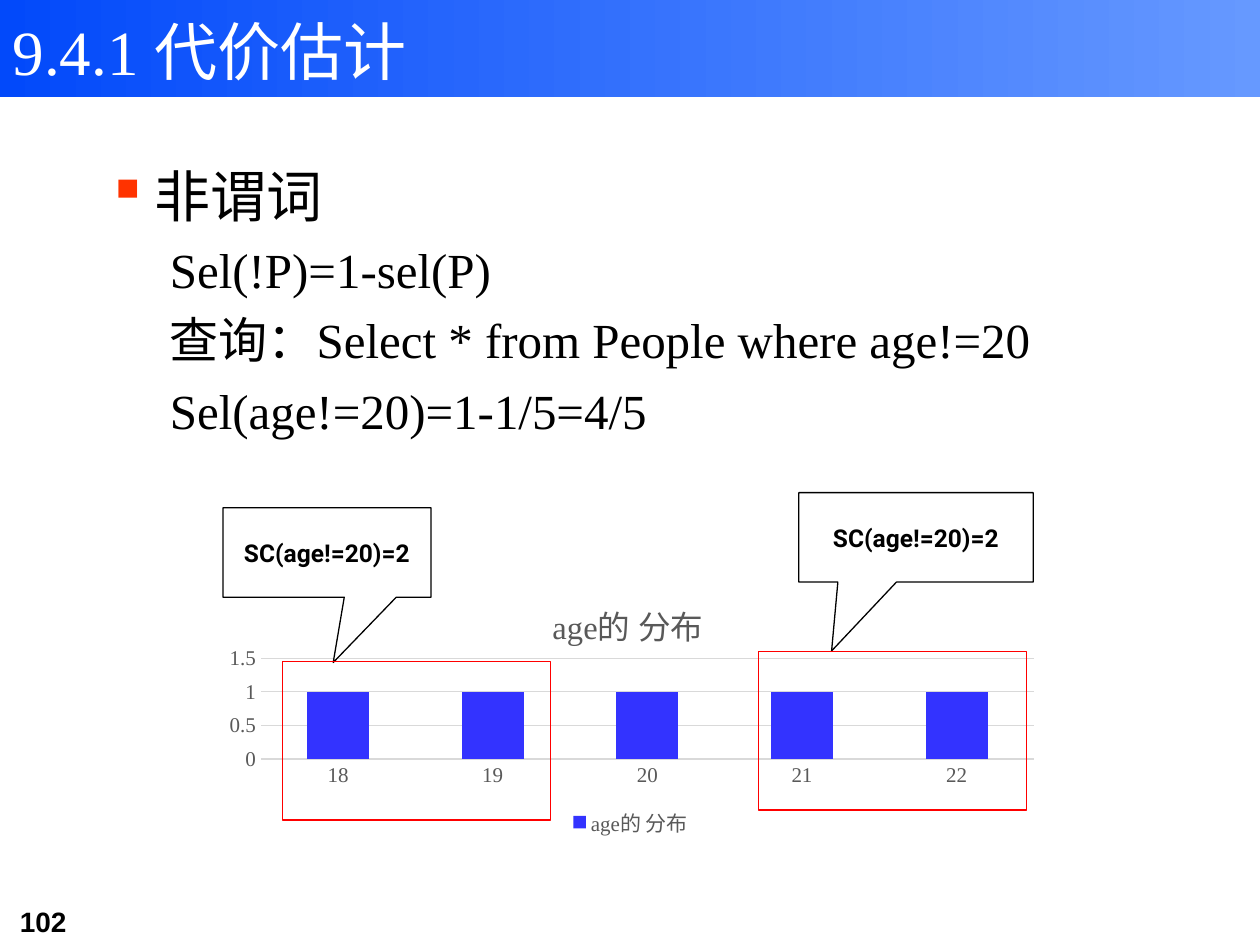
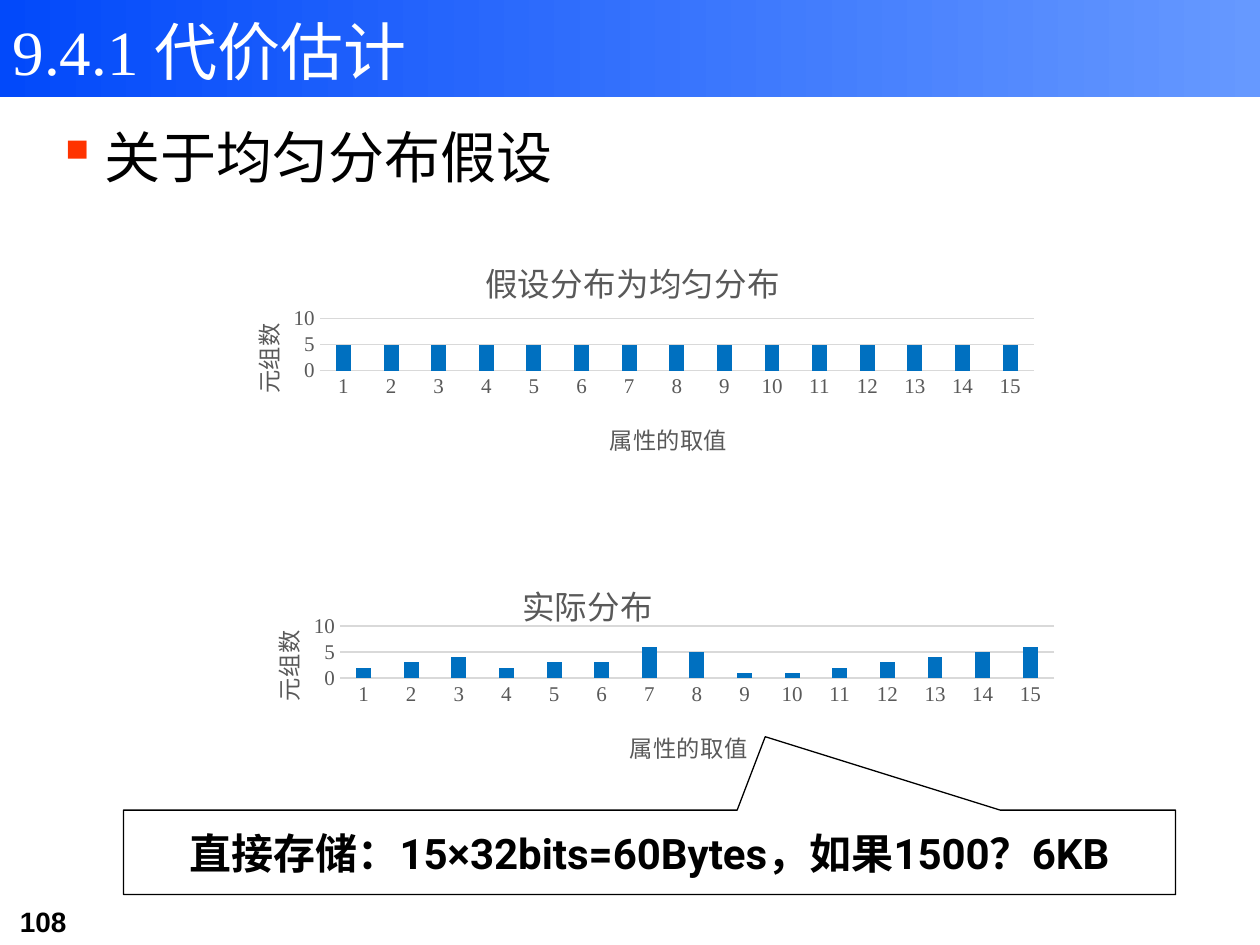
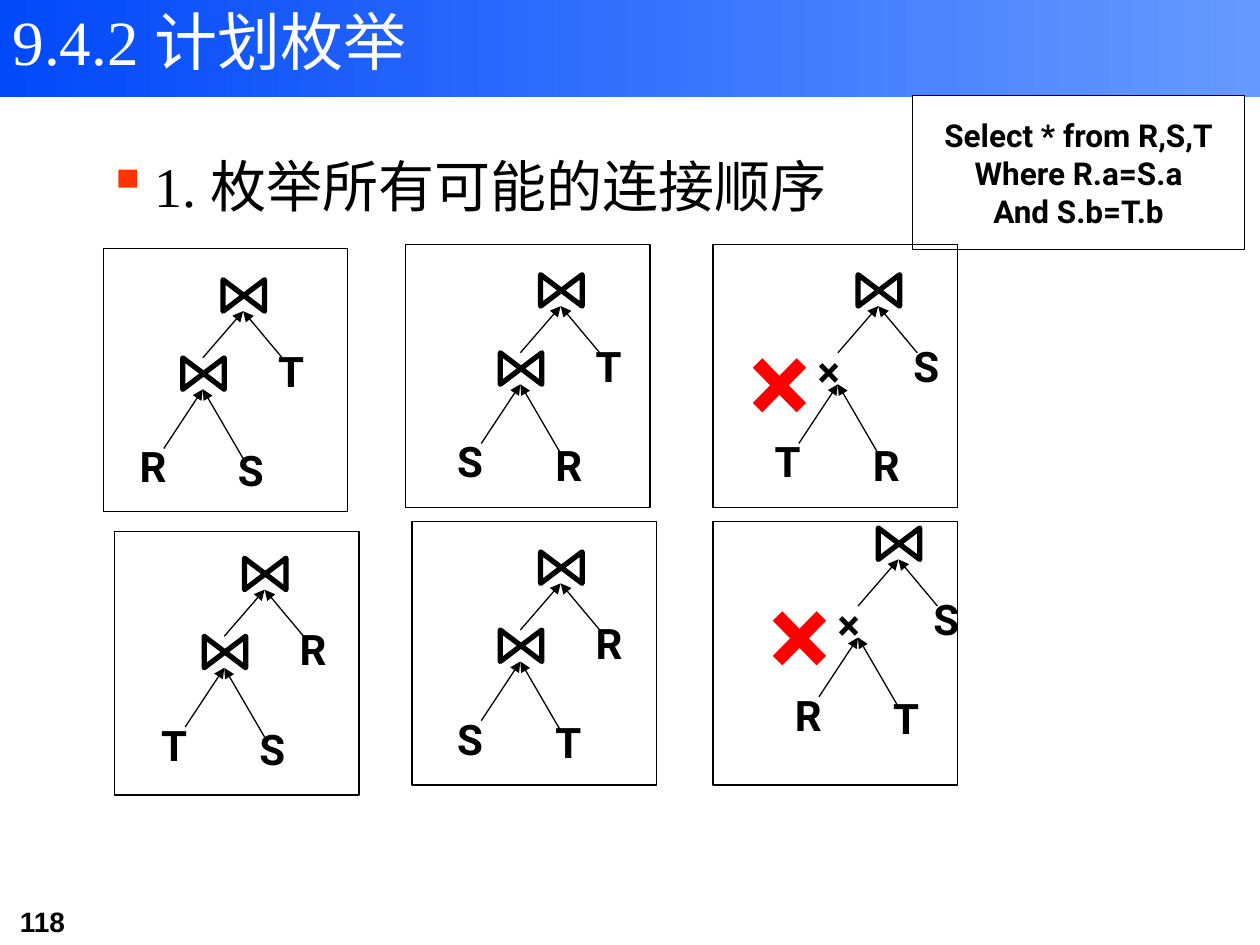
from lxml.etree import SubElement
from pptx import Presentation
from pptx.chart.data import CategoryChartData
from pptx.dml.color import RGBColor
from pptx.enum.chart import XL_CHART_TYPE, XL_LEGEND_POSITION, XL_TICK_MARK
from pptx.enum.shapes import MSO_CONNECTOR, MSO_SHAPE
from pptx.enum.text import MSO_ANCHOR, MSO_AUTO_SIZE, PP_ALIGN
from pptx.oxml.ns import qn
from pptx.util import Inches, Pt

COLORS = {
    "band_start": "0249FA",
    "band_end": "6699FF",
    "text": "000000",
    "white": "FFFFFF",
    "bullet": "FF3300",
    "red": "FF0000",
    "axis_text": "595959",
    "grid": "D9D9D9",
    "age_bar": "3333FF",
    "tuple_bar": "0070C0",
}
SERIF, SANS, NUMBER_FONT = "Times New Roman", "Roboto", "Arial"
TITLE_ONLY = 5


def rgb(name):
    return RGBColor.from_string(COLORS[name])


def inches(*lengths):
    return [Inches(length) for length in lengths]


def style_font(font, size, face, color="text", bold=False):
    font.size = Pt(size)
    font.name = face
    font.bold = bold
    font.color.rgb = rgb(color)


def add_run(paragraph, text, *style, **options):
    run = paragraph.add_run()
    run.text = text
    style_font(run.font, *style, **options)


def add_label(slide, box, text, size, face=SANS, color="text"):
    frame = slide.shapes.add_textbox(*inches(*box)).text_frame
    frame.word_wrap = True
    add_run(frame.paragraphs[0], text, size, face, color, bold=True)


def add_outlined(slide, kind, box, line="text", fill=None, weight=0.75):
    outlined = slide.shapes.add_shape(kind, *inches(*box))
    outlined.shadow.inherit = False
    if fill:
        outlined.fill.solid()
        outlined.fill.fore_color.rgb = rgb(fill)
    else:
        outlined.fill.background()
    outlined.line.color.rgb = rgb(line)
    outlined.line.width = Pt(weight)
    return outlined


def add_note(slide, kind, box, lines, size, pointer=()):
    note = add_outlined(slide, kind, box, fill="white")
    for index, offset in enumerate(pointer):
        note.adjustments[index] = offset
    frame = note.text_frame
    frame.word_wrap = False
    frame.vertical_anchor = MSO_ANCHOR.MIDDLE
    for index, line in enumerate(lines):
        paragraph = frame.add_paragraph() if index else frame.paragraphs[0]
        paragraph.alignment = PP_ALIGN.CENTER
        add_run(paragraph, line, size, SANS, bold=True)


def start_slide(deck, heading, number, heading_top=0.05):
    slide = deck.slides.add_slide(deck.slide_layouts[TITLE_ONLY])
    title = slide.shapes.title
    title.left, title.top, title.width, title.height = inches(0, heading_top, 7.68, 0.71)
    frame = title.text_frame
    frame.auto_size = MSO_AUTO_SIZE.NONE
    frame.word_wrap = True
    frame.vertical_anchor = MSO_ANCHOR.TOP
    frame.paragraphs[0].alignment = PP_ALIGN.LEFT
    add_run(frame.paragraphs[0], heading, 36, SERIF, "white")

    band = slide.shapes.add_shape(MSO_SHAPE.RECTANGLE, *inches(0, 0, 10, 0.77))
    band.shadow.inherit = False
    band.line.fill.background()
    band.fill.gradient()
    band.fill.gradient_angle = 0
    for stop, color in zip(band.fill.gradient_stops, ("band_start", "band_end")):
        stop.color.rgb = rgb(color)
    title.element.addprevious(band.element)
    add_label(slide, (0.06, 7.13, 1.22, 0.37), number, 16, NUMBER_FONT)
    return slide


def add_body(slide, box, topic, details=()):
    frame = slide.shapes.add_textbox(*inches(*box)).text_frame
    frame.word_wrap = True
    bullet = frame.paragraphs[0]
    properties = bullet._p.get_or_add_pPr()
    properties.set("marL", str(Inches(0.38)))
    properties.set("indent", str(Inches(-0.38)))
    bullet_color = SubElement(properties, qn("a:buClr"))
    SubElement(bullet_color, qn("a:srgbClr"), val=COLORS["bullet"])
    SubElement(properties, qn("a:buChar"), char="▪")
    add_run(bullet, topic, 32, SERIF)
    for detail in details:
        paragraph = frame.add_paragraph()
        paragraph.level = 1
        paragraph.space_before = Pt(6.5)
        properties = paragraph._p.get_or_add_pPr()
        properties.set("marL", str(Inches(0.5)))
        properties.set("indent", "0")
        add_run(paragraph, detail, 28, SERIF)


def set_layout(parent, inner=False, **fractions):
    existing = parent.find(qn("c:layout"))
    if existing is not None:
        parent.remove(existing)
    layout = parent.makeelement(qn("c:layout"))
    text = parent.find(qn("c:tx"))
    if text is None:
        parent.insert(0, layout)
    else:
        text.addnext(layout)
    manual = SubElement(layout, qn("c:manualLayout"))
    if inner:
        SubElement(manual, qn("c:layoutTarget"), val="inner")
    for side in ("x", "y"):
        SubElement(manual, qn(f"c:{side}Mode"), val="edge")
    for side, fraction in fractions.items():
        SubElement(manual, qn(f"c:{side}"), val=str(fraction))


def title_part(owner, text, size, x, y):
    add_run(owner.text_frame.paragraphs[0], text, size, SERIF, "axis_text")
    set_layout(owner._element, x=x, y=y)


def add_columns(slide, box, kind, heading, heading_at, series_name, categories, values,
                color, gap, overlap, top, step, plot_area):
    chart_data = CategoryChartData()
    chart_data.categories = categories
    chart_data.add_series(series_name, values)
    chart = slide.shapes.add_chart(kind, *inches(*box), chart_data).chart
    style_font(chart.font, 12, SERIF, "axis_text")
    chart.has_legend = False
    chart.has_title = True
    title_part(chart.chart_title, heading, 18.6, *heading_at)

    plot = chart.plots[0]
    plot.vary_by_categories = False
    plot.gap_width = gap
    plot.overlap = overlap
    plot.series[0].format.fill.solid()
    plot.series[0].format.fill.fore_color.rgb = rgb(color)
    x, y, w, h = plot_area
    set_layout(plot._element.getparent(), inner=True, x=x, y=y, w=w, h=h)

    for axis in (chart.category_axis, chart.value_axis):
        axis.major_tick_mark = axis.minor_tick_mark = XL_TICK_MARK.NONE
        style_font(axis.tick_labels.font, 12, SERIF, "axis_text")
    value_axis = chart.value_axis
    value_axis.minimum_scale = 0
    value_axis.maximum_scale = top
    value_axis.major_unit = step
    value_axis.format.line.fill.background()
    for line in (chart.category_axis.format.line, value_axis.major_gridlines.format.line):
        line.color.rgb = rgb("grid")
        line.width = Pt(0.75)
    return chart


def add_age_chart(slide, box):
    name = "age的 分布"
    chart = add_columns(
        slide, box, XL_CHART_TYPE.COLUMN_STACKED, name, (0.4, 0.1), name,
        [str(age) for age in range(18, 23)], [1] * 5, "age_bar", 150, 100,
        1.5, 0.5, (0.06, 0.34, 0.92, 0.36))
    chart.has_legend = True
    chart.legend.position = XL_LEGEND_POSITION.BOTTOM
    chart.legend.include_in_layout = False
    style_font(chart.legend.font, 12, SERIF, "axis_text")


def add_tuple_chart(slide, box, heading, heading_at, counts):
    chart = add_columns(
        slide, box, XL_CHART_TYPE.COLUMN_CLUSTERED, heading, heading_at, "元组数",
        [str(value) for value in range(1, 16)], counts, "tuple_bar", 219, -27,
        10, 5, (0.13, 0.38, 0.85, 0.21))
    title_part(chart.category_axis.axis_title, "属性的取值", 13.3, 0.47, 0.77)
    title_part(chart.value_axis.axis_title, "元组数", 13.3, 0.04, 0.38)


def add_arrow(slide, start, end):
    arrow = slide.shapes.add_connector(MSO_CONNECTOR.STRAIGHT, *inches(*start, *end))
    arrow.line.color.rgb = rgb("text")
    arrow.line.width = Pt(0.75)
    properties = arrow.element.spPr
    SubElement(properties.find(qn("a:ln")), qn("a:tailEnd"), type="triangle")
    SubElement(properties, qn("a:effectLst"))


def add_join(slide, x, y):
    join = add_outlined(slide, MSO_SHAPE.FLOWCHART_COLLATE,
                        (x - 0.12, y - 0.29, 0.25, 0.33), weight=3)
    join.rotation = 90


def add_join_tree(slide, box, root_offset, leaves, rejected):
    left, top, width, height = box
    x, y = left + root_offset[0], top + root_offset[1]
    inner_x, inner_y = x - 0.32, y + 0.62
    add_join(slide, x, y)
    if rejected:
        add_label(slide, (x - 0.58, y + 0.26, 0.45, 0.5), "×", 24)
        add_label(slide, (x - 1.12, y - 0.03, 0.97, 1.21), "×", 66, color="red")
    else:
        add_join(slide, inner_x, inner_y)
    for tip, dx, dy in (((inner_x, inner_y), -0.31, 0.47), ((inner_x, inner_y), 0.32, 0.55),
                        ((x, y), -0.32, 0.37), ((x, y), 0.31, 0.37)):
        add_arrow(slide, (tip[0] + dx, tip[1] + dy), tip)
    for leaf, (dx, dy) in zip(leaves, ((-0.92, 0.98), (-0.14, 1.01), (0.18, 0.22))):
        add_label(slide, (x + dx, y + dy, 0.37, 0.5), leaf, 24)
    add_outlined(slide, MSO_SHAPE.RECTANGLE, box)


def build_negation(deck):
    slide = start_slide(deck, "9.4.1 代价估计", "102")
    add_body(slide, (0.75, 1.23, 8.5, 5.44), "非谓词", (
        "Sel(!P)=1-sel(P)",
        "查询：Select * from People where age!=20",
        "Sel(age!=20)=1-1/5=4/5",
    ))
    add_age_chart(slide, (1.67, 4.47, 6.67, 2.22))
    for box, pointer in (((1.77, 4.03, 1.65, 0.71), (0.03, 1.23)),
                         ((6.34, 3.91, 1.86, 0.71), (-0.36, 1.27))):
        add_note(slide, MSO_SHAPE.RECTANGULAR_CALLOUT, box, ["SC(age!=20)=2"], 14, pointer)
    for left, top in ((2.24, 5.25), (6.02, 5.17)):
        add_outlined(slide, MSO_SHAPE.RECTANGLE, (left, top, 2.13, 1.26), "red")


def build_uniformity(deck):
    slide = start_slide(deck, "9.4.1 代价估计", "108")
    add_body(slide, (0.35, 0.92, 9.37, 5.75), "关于均匀分布假设")
    add_tuple_chart(slide, (1.67, 1.78, 6.67, 1.97), "假设分布为均匀分布",
                    (0.32, 0.1), [5] * 15)
    add_tuple_chart(slide, (1.83, 4.22, 6.67, 1.97), "实际分布", (0.34, 0.16),
                    [2, 3, 4, 2, 3, 3, 6, 5, 1, 1, 2, 3, 4, 5, 6])
    add_note(slide, MSO_SHAPE.RECTANGULAR_CALLOUT, (0.98, 6.43, 8.35, 0.67),
             ["直接存储：15×32bits=60Bytes，如果1500？6KB"], 24, (0.11, -1.37))


def build_enumeration(deck):
    slide = start_slide(deck, "9.4.2 计划枚举", "118", heading_top=-0.03)
    add_body(slide, (0.75, 1.15, 8.5, 5.52), "1. 枚举所有可能的连接顺序")
    add_note(slide, MSO_SHAPE.RECTANGLE, (7.24, 0.76, 2.64, 1.22),
             ["Select * from R,S,T", "Where R.a=S.a", "And S.b=T.b"], 18)
    for left, top, root_offset, leaves, rejected in (
        (0.82, 1.97, (1.11, 0.5), "RST", False),
        (0.91, 4.22, (1.19, 0.46), "TSR", False),
        (3.22, 1.94, (1.23, 0.49), "SRT", False),
        (3.27, 4.14, (1.18, 0.49), "STR", False),
        (5.66, 1.94, (1.31, 0.49), "TRS", True),
        (5.66, 4.14, (1.47, 0.3), "RTS", True),
    ):
        add_join_tree(slide, (left, top, 1.94, 2.09), root_offset, leaves, rejected)


def main():
    deck = Presentation()
    deck.slide_width, deck.slide_height = inches(10, 7.5)
    build_negation(deck)
    build_uniformity(deck)
    build_enumeration(deck)
    deck.save("out.pptx")


if __name__ == "__main__":
    main()
